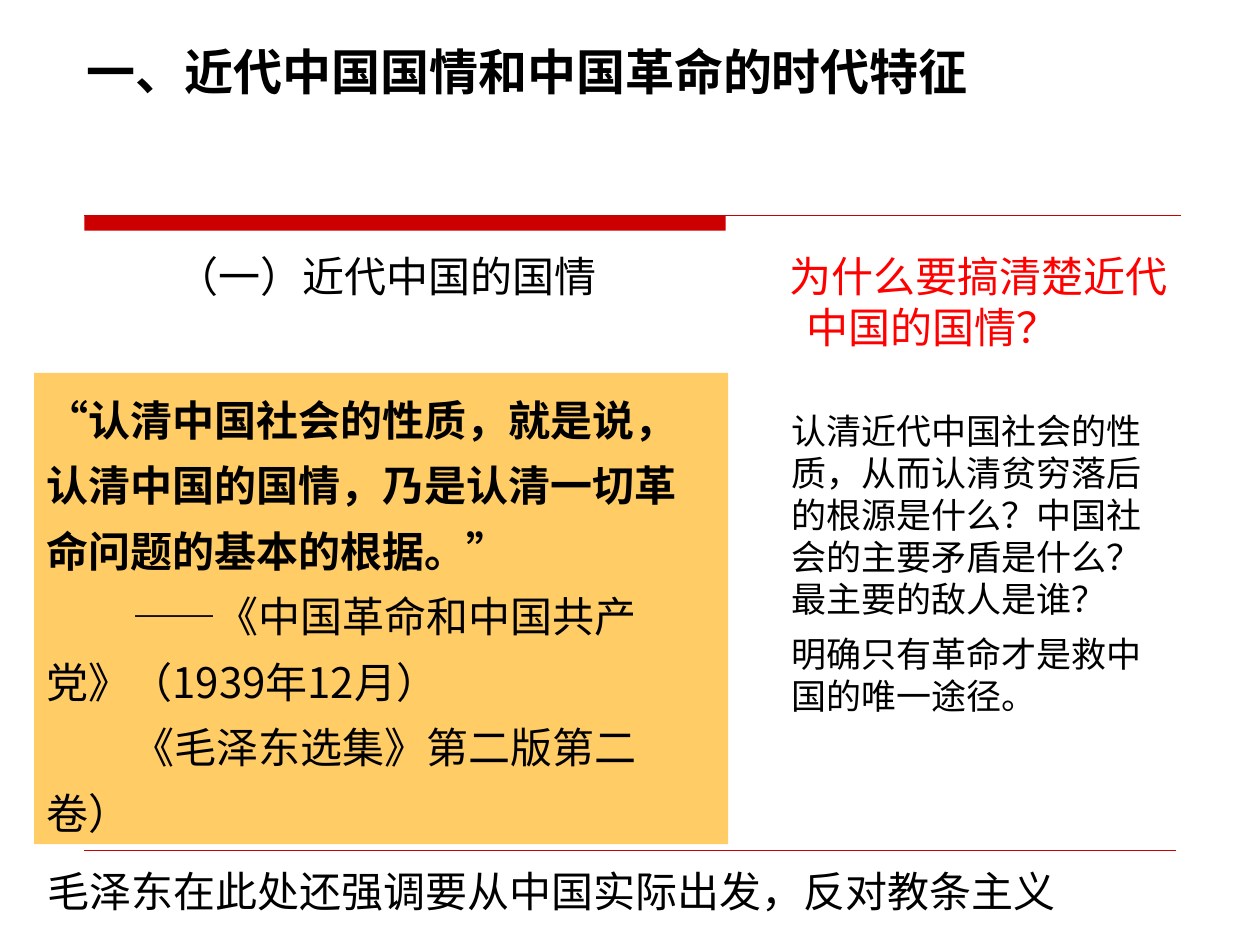
from pptx import Presentation
from pptx.dml.color import RGBColor
from pptx.enum.shapes import MSO_CONNECTOR as Line, MSO_SHAPE as Shape
from pptx.enum.text import MSO_ANCHOR as Anchor, MSO_AUTO_SIZE as Auto, PP_ALIGN as Align
from pptx.oxml.ns import qn
from pptx.util import Inches, Pt
from lxml import etree

BLACK = RGBColor(0, 0, 0)
WHITE = RGBColor(255, 255, 255)
RED = RGBColor(255, 0, 0)
RULE = RGBColor(0xCC, 0, 0)
GOLD = RGBColor(0xFF, 0xCC, 0x66)
SANS = "Noto Sans CJK SC"


def style(para, size, color=BLACK, bold=False, font="Arial", before=0,
          space=None, left=0, first=0):
    """Format one paragraph and its runs."""
    para.alignment = Align.LEFT
    para.space_before = Pt(before)
    if space:
        para.line_spacing = space
    props = para._p.get_or_add_pPr()
    props.set("marL", str(Inches(left)))
    props.set("indent", str(Inches(first)))
    for run in para.runs:
        run.font.size = Pt(size)
        run.font.bold = bold
        run.font.name = font
        run.font.color.rgb = color
        east = etree.SubElement(run._r.get_or_add_rPr(), qn("a:ea"))
        east.set("typeface", SANS)


def frame(shape, lines, wrap=True):
    """Fill a shape with paragraphs and return them."""
    text = shape.text_frame
    text.text = "\n".join(lines)
    text.word_wrap = wrap
    text.auto_size = Auto.NONE
    text.vertical_anchor = Anchor.TOP
    text.margin_left = text.margin_right = Inches(0.1)
    text.margin_top = text.margin_bottom = Inches(0.05)
    return text.paragraphs


def panel(slide, box, lines, fill=None, wrap=True):
    shape = slide.shapes.add_textbox(*map(Inches, box))
    if fill is not None:
        shape.fill.solid()
        shape.fill.fore_color.rgb = fill
    return frame(shape, lines, wrap)


def rule(slide, x, y, width, weight):
    line = slide.shapes.add_connector(
        Line.STRAIGHT, Inches(x), Inches(y), Inches(x + width), Inches(y))
    line.line.color.rgb = RULE
    line.line.width = Pt(weight)
    etree.SubElement(line._element.spPr, qn("a:effectLst"))


def rules(slide):
    # Thick bar that runs on as a thin line, and the foot line
    bar = slide.shapes.add_shape(
        Shape.RECTANGLE, Inches(0.67), Inches(1.71), Inches(5.09), Inches(0.12))
    bar.shadow.inherit = False
    bar.fill.solid()
    bar.fill.fore_color.rgb = RULE
    bar.line.fill.background()
    rule(slide, 0.67, 1.71, 8.7, 0.75)
    rule(slide, 0.67, 6.75, 8.66, 0.25)


def heading(slide, box):
    title = slide.shapes.title
    title.left, title.top, title.width, title.height = map(Inches, box)
    para, = frame(title, ["一、近代中国国情和中国革命的时代特征"])
    style(para, 28, bold=True, font=SANS)


def topic(slide, box):
    para, = panel(slide, box, ["（一）近代中国的国情"], wrap=False)
    style(para, 24)


def question(slide, box):
    para, = panel(slide, box, ["为什么要搞清楚近代中国的国情？"], WHITE)
    style(para, 24, RED, font="DejaVu Sans", left=0.51, first=-0.13)


def quote(slide, box):
    words, *sources = panel(slide, box, [
        "“认清中国社会的性质，就是说，认清中国的国情，乃是认清一切革命问题的基本的根据。”",
        "——《中国革命和中国共产党》（1939年12月）",
        "《毛泽东选集》第二版第二卷）",
    ], GOLD)
    style(words, 24, bold=True, space=1.3)
    for para in sources:
        style(para, 24, font=SANS, space=1.3, first=0.68)


def answers(slide, box):
    paras = panel(slide, box, [
        "认清近代中国社会的性质，从而认清贫穷落后的根源是什么？中国社会的主要矛盾是什么？最主要的敌人是谁？",
        "明确只有革命才是救中国的唯一途径。",
    ], WHITE)
    for i, para in enumerate(paras):
        style(para, 20, before=7.5 if i else 0)


def remark(slide, box):
    para, = panel(slide, box, ["毛泽东在此处还强调要从中国实际出发，反对教条主义"],
                  WHITE, wrap=False)
    style(para, 24)


def main():
    deck = Presentation()
    deck.slide_width, deck.slide_height = Inches(10), Inches(7.5)
    slide = deck.slides.add_slide(deck.slide_layouts[5])
    rules(slide)
    heading(slide, (0.59, 0.28, 8.58, 0.97))
    topic(slide, (1.3, 1.94, 3.53, 0.5))
    question(slide, (5.79, 1.94, 3.78, 1.1))
    quote(slide, (0.27, 2.96, 5.51, 3.74))
    answers(slide, (6.18, 3.2, 3.19, 2.54))
    remark(slide, (0.28, 6.82, 8.2, 0.5))
    deck.save("out.pptx")


if __name__ == "__main__":
    main()
